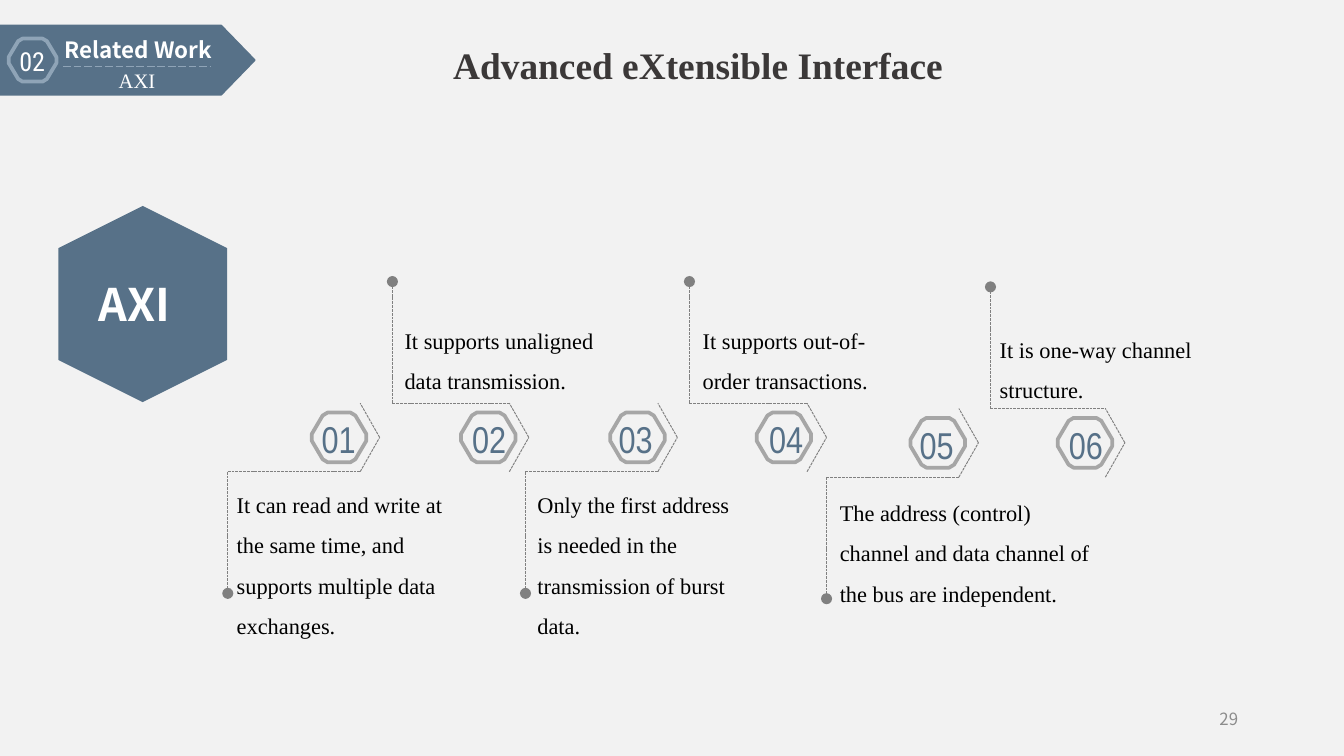
from pptx import Presentation
from pptx.dml.color import RGBColor
from pptx.enum.dml import MSO_LINE
from pptx.enum.shapes import MSO_CONNECTOR, MSO_SHAPE
from pptx.enum.text import MSO_ANCHOR, MSO_AUTO_SIZE, PP_ALIGN
from pptx.oxml.ns import qn
from pptx.util import Inches, Pt
from lxml.etree import SubElement

# Grid of 100 columns by 56.25 rows, a 16:9 page
CELL = Inches(0.1)
BLUE, GREY, WHITE = "577188", "808080", "FFFFFF"
PALE_BLUE, SILVER = "8FA4B7", "A6A6A6"
SERIF, SANS, NARROW = "Times New Roman", "Noto Sans CJK SC", "Arial Narrow"
color = RGBColor.from_string

deck = Presentation()
deck.slide_width = 100 * CELL
deck.slide_height = int(56.25 * CELL)
page = deck.slides.add_slide(deck.slide_layouts[6])
page.background.fill.solid()
page.background.fill.fore_color.rgb = color("F2F2F2")


def add_text(text, area, size, font, ink, bold=False, align=PP_ALIGN.LEFT,
             spacing=None, wrap=True, anchor=MSO_ANCHOR.TOP):
    box = page.shapes.add_textbox(*(int(value * CELL) for value in area))
    frame = box.text_frame
    frame.word_wrap = wrap
    frame.auto_size = MSO_AUTO_SIZE.SHAPE_TO_FIT_TEXT
    frame.vertical_anchor = anchor
    para = frame.paragraphs[0]
    para.alignment = align
    if spacing:
        para.line_spacing = spacing
    span = para.add_run()
    span.text = text
    span.font.size = Pt(size)
    span.font.name = font
    span.font.bold = bold
    span.font.color.rgb = color(ink)
    properties = span.font._element
    SubElement(properties, qn("a:ea")).set("typeface", font)


def add_line(start, end, ink=GREY, dash=MSO_LINE.SQUARE_DOT, dot=False):
    line = page.shapes.add_connector(
        MSO_CONNECTOR.STRAIGHT, *(int(value * CELL) for value in (*start, *end)))
    line.line.color.rgb = color(ink)
    line.line.width = Pt(0.5)
    line.line.dash_style = dash
    if dot:
        SubElement(line.line._ln, qn("a:tailEnd")).set("type", "oval")
    SubElement(line._element.spPr, qn("a:effectLst"))


# Large hexagon
hexagon = page.shapes.add_shape(
    MSO_SHAPE.HEXAGON, *(int(value * CELL) for value in (3.32, 16.35, 14.6, 12.55)))
hexagon.rotation = 90
hexagon.shadow.inherit = False
hexagon.fill.solid()
hexagon.fill.fore_color.rgb = color(BLUE)
hexagon.line.fill.background()
add_text("AXI", (6.35, 20.1, 8, 5), 24, SANS, WHITE, bold=True, wrap=False)

# Title
add_text("Advanced eXtensible Interface", (30.85, 2.65, 42.2, 4.4), 20, SERIF,
         "3B3838", bold=True, align=PP_ALIGN.CENTER)

# Header arrow
arrow = page.shapes.add_shape(
    MSO_SHAPE.PENTAGON, *(int(value * CELL) for value in (0, 1.9, 18.95, 5.15)))
arrow.adjustments[0] = 0.485
arrow.shadow.inherit = False
arrow.fill.solid()
arrow.fill.fore_color.rgb = color(BLUE)
arrow.line.color.rgb = color(BLUE)
arrow.line.width = Pt(1)

# Steps: badge column, number column, stem column, elbow column, top row,
# whether the stem goes up, wording and its area
steps = [
    (23.2, 22.8, 16.95, 26.8, 30, False,
     "It can read and write at the same time, and supports multiple data exchanges.",
     (16.63, 35.05, 17.7, 13.1)),
    (34.3, 34, 29.2, 37.9, 30, True,
     "It supports unaligned data transmission.", (29.12, 22.85, 17.6, 7.1)),
    (45.4, 44.9, 39.1, 48.95, 30, False,
     "Only the first address is needed in the transmission of burst data.",
     (39, 35.05, 17.1, 13.1)),
    (56.3, 56.1, 51.3, 60.05, 30, True,
     "It supports out-of-order transactions.", (51.3, 22.85, 16.3, 6.7)),
    (67.75, 67.3, 61.5, 71.35, 30.4, False,
     "The address (control) channel and data channel of the bus are independent.",
     (61.5, 35.65, 20.9, 10.1)),
    (78.7, 78.4, 73.7, 82.25, 30.4, True,
     "It is one-way channel structure.", (73.4, 23.5, 18.5, 7.1)),
]

# Badges: left, top, width, height, line colour
badges = [(0.65, 2.87, 3.55, 3.2, PALE_BLUE)]

# Step wording, stems, shelves and chevrons
for badge, number, stem, elbow, top, upward, wording, area in steps:
    add_text(wording, area, 12, SERIF, "000000", spacing=1.5)
    bottom = top + 5.1
    tip = (elbow + 1.45, top + 2.55)
    shelf = top if upward else bottom
    end = top - 9.05 if upward else bottom + 9.05
    add_line((stem, shelf), (elbow, shelf))
    add_line((stem, shelf), (stem, end), dot=True)
    add_line((elbow, bottom), tip)
    add_line(tip, (elbow, top))
    badges.append((badge, top + 0.7, 4.05, 3.7, SILVER))

# Hexagon badges with softened corners, as shares of the badge size
quarter = [(0, 0.43), (0.2, 0.06), (0.29, 0)]
half = quarter + [(1 - x, y) for x, y in reversed(quarter)]
corners = half + [(x, 1 - y) for x, y in reversed(half)]
for left, top, width, height, ink in badges:
    points = [(int((left + x * width) * CELL), int((top + y * height) * CELL))
              for x, y in corners]
    builder = page.shapes.build_freeform(*points[0])
    builder.add_line_segments(points[1:], close=True)
    outline = builder.convert_to_shape()
    outline.shadow.inherit = False
    outline.fill.background()
    outline.line.color.rgb = color(ink)
    outline.line.width = Pt(2)

# Step numbers
for index, (badge, number, stem, elbow, top, *rest) in enumerate(steps, 1):
    add_text(f"{index:02}", (number, top + 0.5, 4.8, 4.4), 20, NARROW, BLUE,
             align=PP_ALIGN.CENTER)

# Header wording
add_text("Related Work", (2.4, 2.2, 15.8, 3), 12, SANS, WHITE, bold=True,
         align=PP_ALIGN.CENTER)
add_text("02", (0.05, 2.9, 4.7, 3.4), 14, "Roboto Condensed", WHITE,
         align=PP_ALIGN.CENTER)
add_line((4.7, 4.97), (15.65, 4.97), PALE_BLUE, MSO_LINE.LONG_DASH)
add_text("AXI", (7.85, 4.6, 5, 2.9), 11, SERIF, WHITE)

# Page number
add_text("29", (70.6, 52, 22.5, 3), 9, SANS, "8C8C8C", align=PP_ALIGN.RIGHT,
         anchor=MSO_ANCHOR.MIDDLE)

deck.save("out.pptx")
